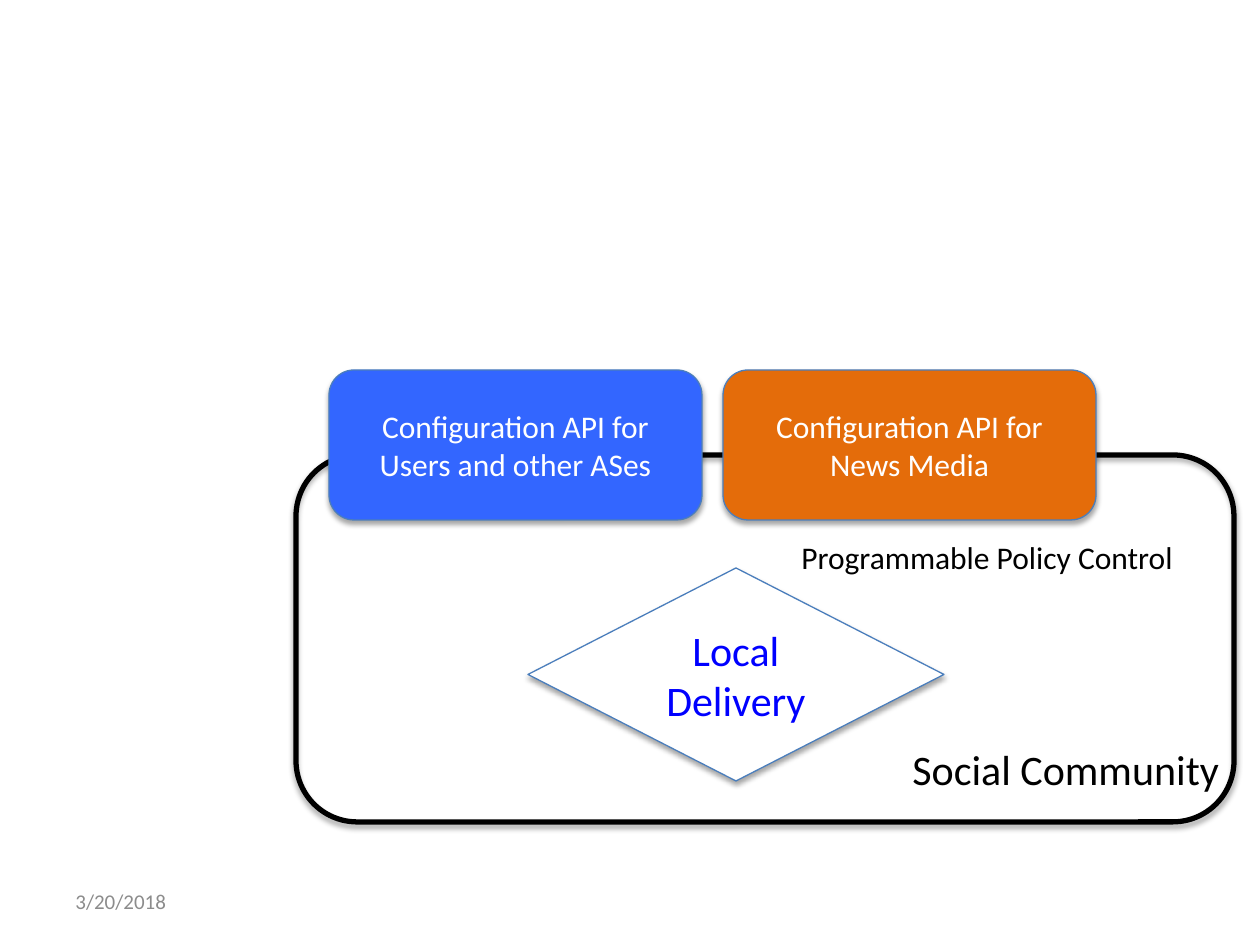
from lxml.etree import SubElement
from pptx import Presentation
from pptx.dml.color import RGBColor
from pptx.enum.shapes import MSO_SHAPE
from pptx.enum.text import MSO_ANCHOR, MSO_AUTO_SIZE, PP_ALIGN
from pptx.oxml.ns import qn
from pptx.util import Emu, Inches, Pt

EMU_PER_PX = 914400 / 126
FONT = "Calibri"
BLACK, WHITE, GREY = "000000", "FFFFFF", "8C8C8C"
OUTLINE_BLUE, TEXT_BLUE = "4B7EBC", "0000FF"
API_LEFT, API_TOP, API_WIDTH, API_HEIGHT, API_STEP = 329, 370, 373, 150, 394
API_BOXES = [
    ("Configuration API for Users and other ASes", "3366FF"),
    ("Configuration API for News Media", "E46C0A"),
]


def px(*lengths):
    return [Emu(round(length * EMU_PER_PX)) for length in lengths]


def rgb(hex_code):
    return RGBColor.from_string(hex_code)


def write(frame, text, size, color, align=PP_ALIGN.LEFT):
    paragraph = frame.paragraphs[0]
    paragraph.alignment = align
    run = paragraph.add_run()
    run.text = text
    run.font.name = FONT
    run.font.size = Pt(size)
    run.font.color.rgb = rgb(color)


def add_soft_shadow(shape):
    """Give the shape a blurred black shadow falling straight down."""
    shape.shadow.inherit = False
    effects = shape.element.spPr.find(qn("a:effectLst"))
    shadow = SubElement(effects, qn("a:outerShdw"), blurRad=str(Pt(3.1)),
                        dist=str(Pt(1.8)), dir="5400000", rotWithShape="0")
    color = SubElement(shadow, qn("a:srgbClr"), val=BLACK)
    SubElement(color, qn("a:alpha"), val="35000")


def add_block(slide, kind, box, fill=None, line=OUTLINE_BLUE, line_width=0.75):
    block = slide.shapes.add_shape(kind, *px(*box))
    if fill:
        block.fill.solid()
        block.fill.fore_color.rgb = rgb(fill)
    else:
        block.fill.background()
    block.line.color.rgb = rgb(line)
    block.line.width = Pt(line_width)
    add_soft_shadow(block)
    return block


def add_caption(slide, block, text, size, color):
    """Centre a caption inside a block."""
    frame = block.text_frame
    frame.word_wrap = True
    frame.vertical_anchor = MSO_ANCHOR.MIDDLE
    write(frame, text, size, color, PP_ALIGN.CENTER)


def add_label(slide, box, text, size, color=BLACK):
    """Add free text on one line, in a box that grows with it."""
    frame = slide.shapes.add_textbox(*px(*box)).text_frame
    frame.word_wrap = False
    frame.auto_size = MSO_AUTO_SIZE.SHAPE_TO_FIT_TEXT
    write(frame, text, size, color)


def add_date(slide, box, text):
    frame = slide.shapes.add_textbox(*px(*box)).text_frame
    frame.word_wrap = True
    frame.vertical_anchor = MSO_ANCHOR.MIDDLE
    write(frame, text, 12, GREY)


def main():
    deck = Presentation()
    deck.slide_width, deck.slide_height = Inches(10), Inches(7.5)
    slide = deck.slides.add_slide(deck.slide_layouts[6])

    add_block(slide, MSO_SHAPE.ROUNDED_RECTANGLE, (296, 455, 938, 367),
              line=BLACK, line_width=3)
    add_date(slide, (63, 876, 294, 50), "3/20/2018")

    delivery = add_block(slide, MSO_SHAPE.DIAMOND, (528, 568, 416, 213), WHITE)
    add_caption(slide, delivery, "Local Delivery", 24, TEXT_BLUE)
    add_label(slide, (789, 532, 403, 50), "Programmable Policy Control", 18)

    for column, (caption, fill) in enumerate(API_BOXES):
        box = (API_LEFT + column * API_STEP, API_TOP, API_WIDTH, API_HEIGHT)
        api = add_block(slide, MSO_SHAPE.ROUNDED_RECTANGLE, box, fill)
        add_caption(slide, api, caption, 18, WHITE)

    add_label(slide, (900, 737, 335, 63), "Social Community", 24)
    deck.save("out.pptx")


if __name__ == "__main__":
    main()
